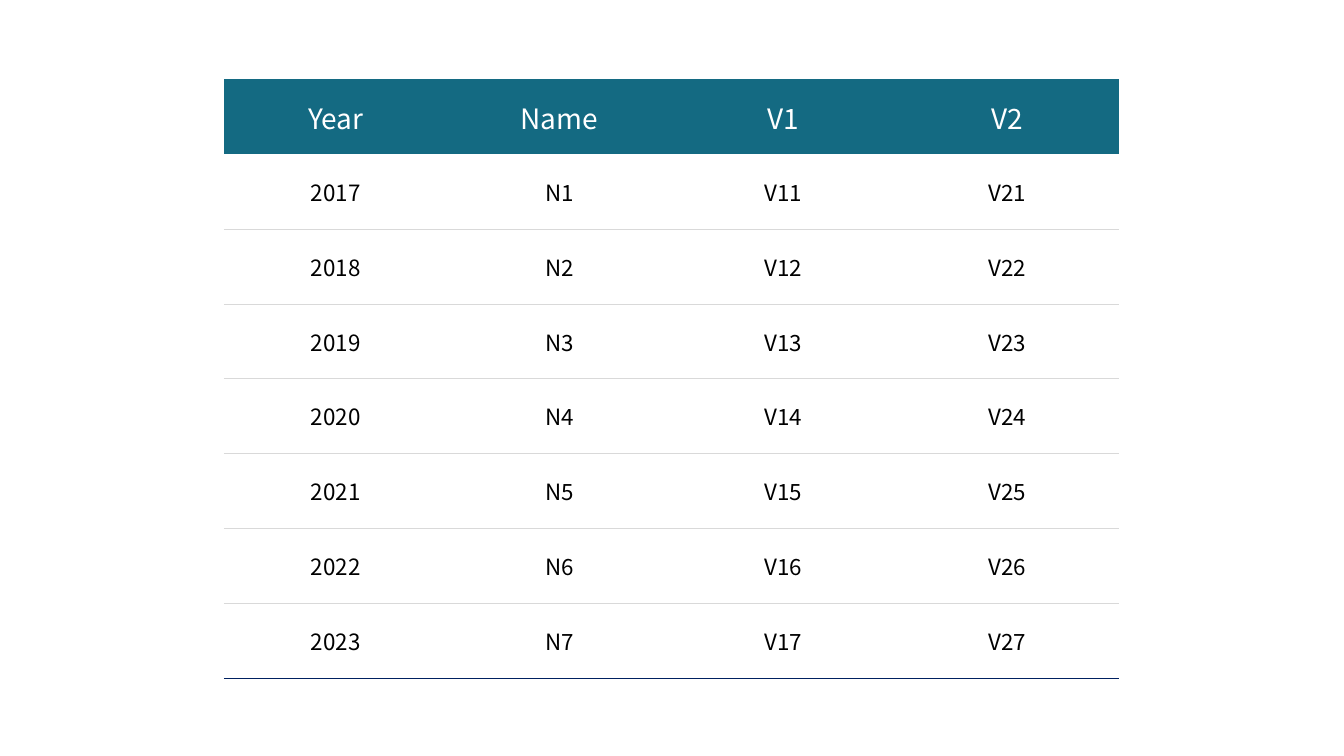
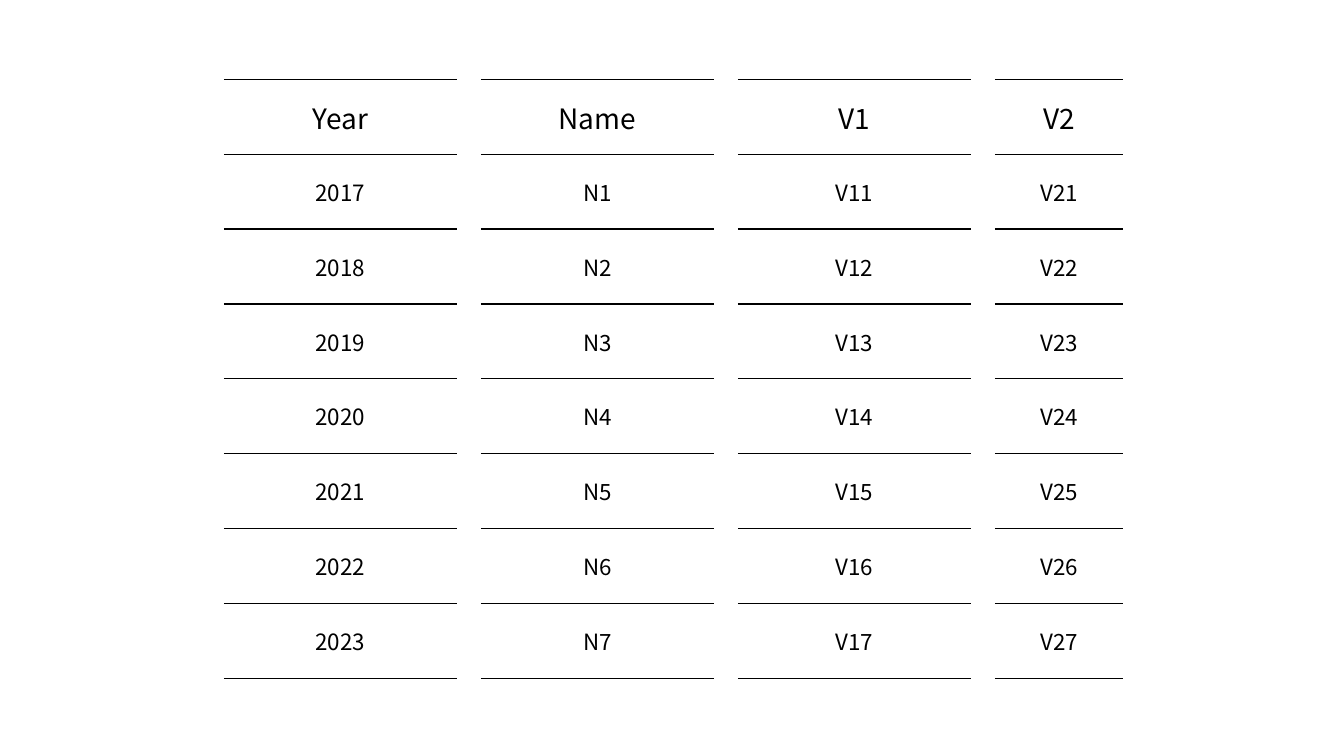
from pptx import Presentation
from pptx.dml.color import RGBColor
from pptx.enum import text
from pptx.oxml.ns import qn
from pptx.util import Cm, Pt
from lxml import etree

FONT = "Noto Sans CJK KR"
COLORS = {
    "white": "FFFFFF",
    "black": "000000",
    "teal": "146A82",
    "grey": "D9D9D9",
    "navy": "002060",
}
PLAIN_TABLE_STYLE = "{2D5ABB26-0587-4C30-8999-92F81FD0307C}"
TABLE_LEFT, TABLE_TOP, TABLE_HEIGHT = Cm(5.64), Cm(2), Cm(15.09)
HEADER_SIZE, BODY_SIZE = Pt(20), Pt(16)

HEADER = ["Year", "Name", "V1", "V2"]
ROWS = [HEADER] + [
    [str(2016 + number), f"N{number}", f"V1{number}", f"V2{number}"]
    for number in range(1, 8)
]


def rgb(name):
    return RGBColor.from_string(COLORS[name])


def add_border(cell, side, rule):
    """Draw one side ("lnT" or "lnB") of a cell; rule is (colour, points)."""
    color, points = rule
    line = etree.SubElement(cell._tc.get_or_add_tcPr(), qn(f"a:{side}"), w=str(Pt(points)))
    fill = etree.SubElement(line, qn("a:solidFill"))
    etree.SubElement(fill, qn("a:srgbClr"), val=COLORS[color])


def write_cell(cell, value, size, color):
    cell.vertical_anchor = text.MSO_ANCHOR.MIDDLE
    cell.text_frame.text = value
    paragraph = cell.text_frame.paragraphs[0]
    paragraph.alignment = text.PP_ALIGN.CENTER
    font = paragraph.runs[0].font
    font.name, font.size = FONT, size
    font.color.rgb = rgb(color)


def fill_cell(cell, fill):
    if fill:
        cell.fill.solid()
        cell.fill.fore_color.rgb = rgb(fill)
    else:
        cell.fill.background()


def add_plain_table(slide, widths):
    """Add a table without style or banding, with one row per data row."""
    table = slide.shapes.add_table(
        len(ROWS), len(widths), TABLE_LEFT, TABLE_TOP, sum(widths), TABLE_HEIGHT
    ).table
    table.first_row = table.horz_banding = False
    table._tbl.tblPr.find(qn("a:tableStyleId")).text = PLAIN_TABLE_STYLE
    for column, width in zip(table.columns, widths):
        column.width = width
    return table


def add_data_table(slide, widths, rules, header_color, header_fill=None, step=1):
    """Fill every step-th column; rules run from the top edge to the bottom edge."""
    table = add_plain_table(slide, widths)
    for row, values in enumerate(ROWS):
        is_header = row == 0
        for column in range(len(widths)):
            cell = table.cell(row, column)
            if column % step == 0:
                for side, rule in (("lnT", rules[row]), ("lnB", rules[row + 1])):
                    if rule:
                        add_border(cell, side, rule)
                write_cell(
                    cell,
                    values[column // step],
                    HEADER_SIZE if is_header else BODY_SIZE,
                    header_color if is_header else "black",
                )
            fill_cell(cell, header_fill if is_header else None)


def add_banner_table(slide):
    widths = [Cm(5.64)] * len(HEADER)
    rules = [None] * 2 + [("grey", 0.5)] * (len(ROWS) - 2) + [("navy", 1)]
    add_data_table(slide, widths, rules, "white", header_fill="teal")


def add_split_table(slide):
    """Separate the columns with narrow empty ones that interrupt the rules."""
    widths = [Cm(5.87), Cm(0.6)] * (len(HEADER) - 1) + [Cm(3.23)]
    rules = [("black", 1)] * (len(ROWS) + 1)
    add_data_table(slide, widths, rules, "black", step=2)


def main():
    presentation = Presentation()
    presentation.slide_width, presentation.slide_height = Cm(33.87), Cm(19.05)
    blank_layout = presentation.slide_layouts[6]
    for add_table in (add_banner_table, add_split_table):
        add_table(presentation.slides.add_slide(blank_layout))
    presentation.save("out.pptx")


if __name__ == "__main__":
    main()
